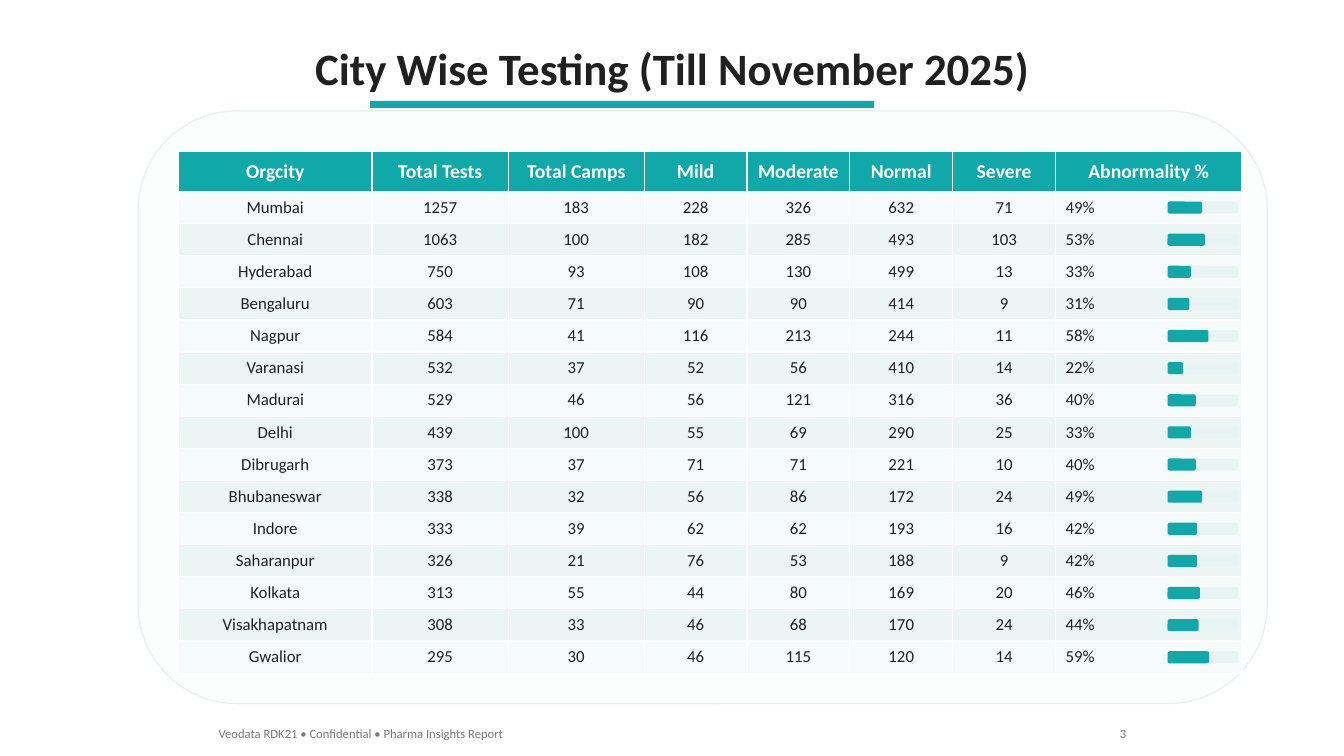
from pptx import Presentation
from pptx.dml.color import RGBColor
from pptx.enum.shapes import MSO_SHAPE as Preset
from pptx.enum.text import MSO_ANCHOR as Anchor, MSO_AUTO_SIZE as AutoSize, PP_ALIGN as Align
from pptx.util import Inches, Pt

FONT = "Calibri"
COLORS = {
    "teal": "10A8A8", "ink": "202020", "white": "FFFFFF", "footer": "787878",
    "panel": "FCFDFD", "panel_edge": "EBF0F0", "track": "EAF3F3",
    "odd_row": "F6FAFA", "even_row": "ECF4F4",
}

HEADERS = ["Orgcity", "Total Tests", "Total Camps", "Mild", "Moderate", "Normal",
           "Severe", "Abnormality %"]
# City, tests, camps, mild, moderate, normal, severe, abnormality in percent
CITIES = [
    ("Mumbai", 1257, 183, 228, 326, 632, 71, 49),
    ("Chennai", 1063, 100, 182, 285, 493, 103, 53),
    ("Hyderabad", 750, 93, 108, 130, 499, 13, 33),
    ("Bengaluru", 603, 71, 90, 90, 414, 9, 31),
    ("Nagpur", 584, 41, 116, 213, 244, 11, 58),
    ("Varanasi", 532, 37, 52, 56, 410, 14, 22),
    ("Madurai", 529, 46, 56, 121, 316, 36, 40),
    ("Delhi", 439, 100, 55, 69, 290, 25, 33),
    ("Dibrugarh", 373, 37, 71, 71, 221, 10, 40),
    ("Bhubaneswar", 338, 32, 56, 86, 172, 24, 49),
    ("Indore", 333, 39, 62, 62, 193, 16, 42),
    ("Saharanpur", 326, 21, 76, 53, 188, 9, 42),
    ("Kolkata", 313, 55, 44, 80, 169, 20, 46),
    ("Visakhapatnam", 308, 33, 46, 68, 170, 24, 44),
    ("Gwalior", 295, 30, 46, 115, 120, 14, 59),
]

COLUMN_WIDTHS = [1.92, 1.35, 1.35, 1.02, 1.02, 1.02, 1.02, 1.85]
TABLE_LEFT, TABLE_TOP, TABLE_WIDTH, TABLE_HEIGHT = 1.77, 1.5, 10.57, 5.18
HEADER_HEIGHT = 0.4
ROW_HEIGHT = (TABLE_HEIGHT - HEADER_HEIGHT) / len(CITIES)
BAR_LEFT, BAR_WIDTH, BAR_HEIGHT = 11.58, 0.7, 0.12


def color(name):
    return RGBColor.from_string(COLORS[name])


def style_text(frame, size, ink, bold=False, align=Align.LEFT):
    para = frame.paragraphs[0]
    para.alignment = align
    for span in para.runs:
        span.font.name = FONT
        span.font.size = Pt(size)
        span.font.bold = bold
        span.font.color.rgb = color(ink)


def add_text(page, text, left, top, width, height, size, ink, **style):
    box = page.shapes.add_textbox(Inches(left), Inches(top), Inches(width), Inches(height))
    frame = box.text_frame
    frame.text = text
    frame.word_wrap = False
    frame.auto_size = AutoSize.SHAPE_TO_FIT_TEXT
    style_text(frame, size, ink, **style)


def add_block(page, preset, left, top, width, height, fill, edge=None):
    block = page.shapes.add_shape(preset, Inches(left), Inches(top), Inches(width), Inches(height))
    block.shadow.inherit = False
    block.fill.solid()
    block.fill.fore_color.rgb = color(fill)
    if edge:
        block.line.color.rgb = color(edge)
        block.line.width = Pt(1)
    else:
        block.line.fill.background()


def fill_cell(cell, text, fill, size, ink, **style):
    cell.text = text
    cell.vertical_anchor = Anchor.MIDDLE
    cell.fill.solid()
    cell.fill.fore_color.rgb = color(fill)
    style_text(cell.text_frame, size, ink, **style)


def add_city_table(page):
    """Add the table; its default style supplies the white cell borders."""
    table = page.shapes.add_table(
        len(CITIES) + 1, len(HEADERS), Inches(TABLE_LEFT), Inches(TABLE_TOP),
        Inches(TABLE_WIDTH), Inches(TABLE_HEIGHT)).table
    for column, width in zip(table.columns, COLUMN_WIDTHS):
        column.width = Inches(width)
    for row in table.rows:
        row.height = Inches(ROW_HEIGHT)
    table.rows[0].height = Inches(HEADER_HEIGHT)

    for index, header in enumerate(HEADERS):
        fill_cell(table.cell(0, index), header, "teal", 14, "white", bold=True, align=Align.CENTER)
    for number, (*values, percent) in enumerate(CITIES, start=1):
        fill = "odd_row" if number % 2 else "even_row"
        for index, value in enumerate(values):
            fill_cell(table.cell(number, index), str(value), fill, 12, "ink", align=Align.CENTER)
        fill_cell(table.cell(number, len(values)), f"{percent}%", fill, 12, "ink")


def add_abnormality_bars(page):
    first_top = TABLE_TOP + HEADER_HEIGHT + (ROW_HEIGHT - BAR_HEIGHT) / 2
    for index, city in enumerate(CITIES):
        top = first_top + index * ROW_HEIGHT
        for width, fill in ((BAR_WIDTH, "track"), (BAR_WIDTH * city[-1] / 100, "teal")):
            add_block(page, Preset.ROUNDED_RECTANGLE, BAR_LEFT, top, width, BAR_HEIGHT, fill)


def main():
    deck = Presentation()
    deck.slide_width, deck.slide_height = Inches(13.33), Inches(7.5)
    page = deck.slides.add_slide(deck.slide_layouts[6])

    add_text(page, "City Wise Testing (Till November 2025)", 2.99, 0.35, 7.36, 0.64,
             32, "ink", bold=True, align=Align.CENTER)
    add_block(page, Preset.RECTANGLE, 3.67, 1, 5, 0.07, "teal")
    add_block(page, Preset.ROUNDED_RECTANGLE, 1.37, 1.1, 11.2, 5.88, "panel", "panel_edge")
    add_city_table(page)
    add_abnormality_bars(page)
    add_text(page, "Veodata RDK21 • Confidential • Pharma Insights Report",
             2.07, 7.15, 3.05, 0.25, 9, "footer")
    add_text(page, "3", 11, 7.15, 0.27, 0.25, 9, "footer", align=Align.RIGHT)
    deck.save("out.pptx")


if __name__ == "__main__":
    main()
